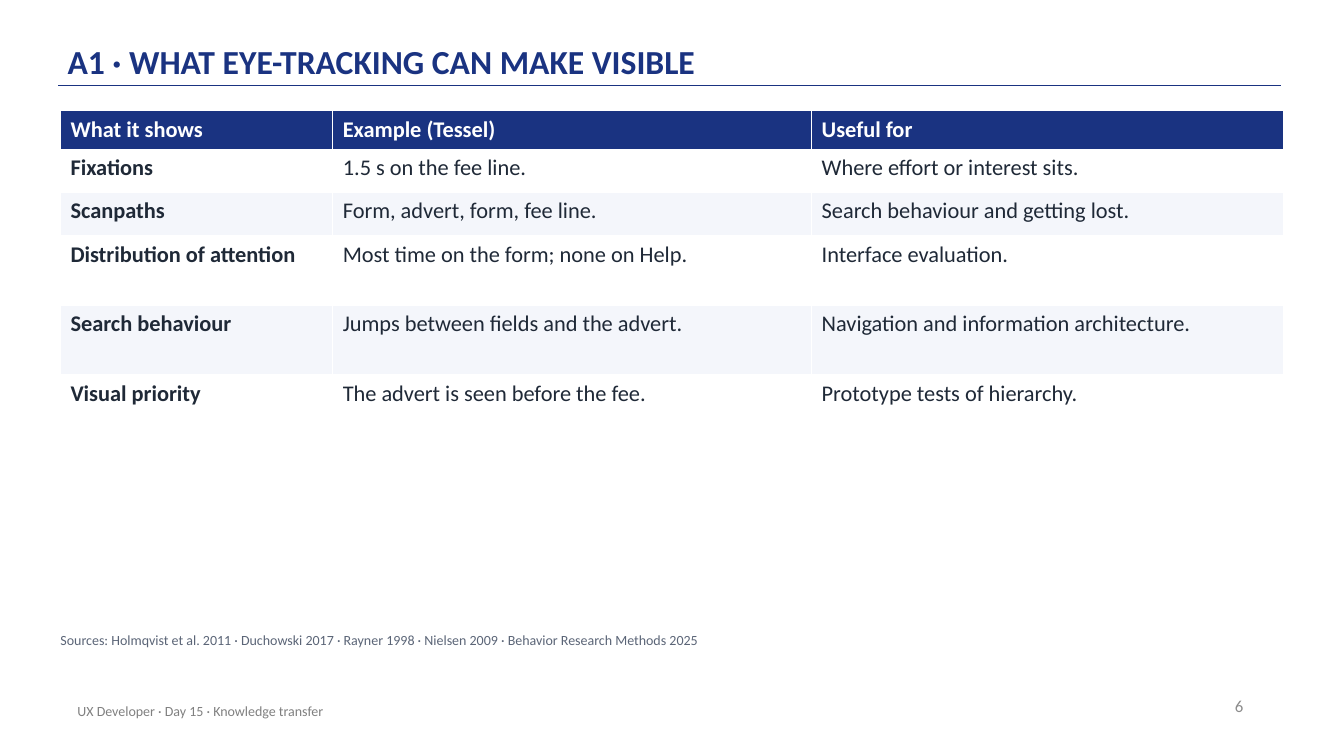
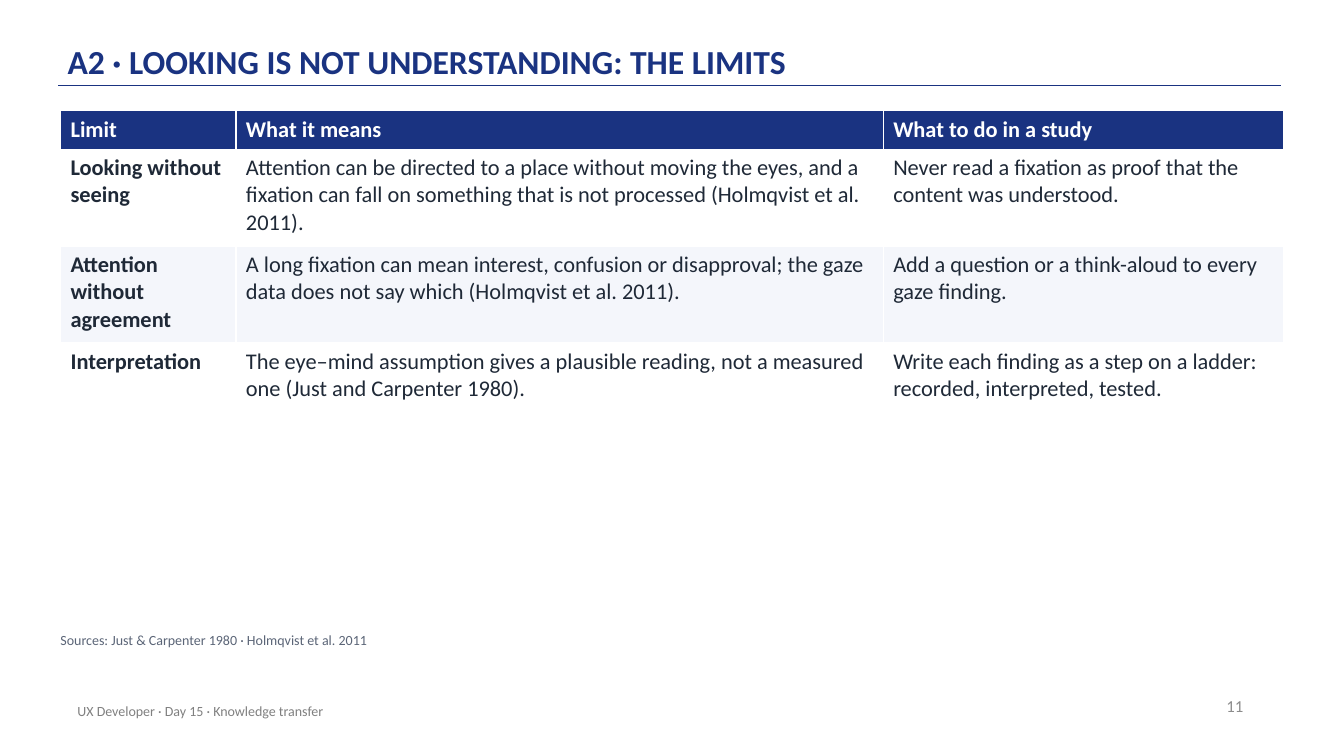
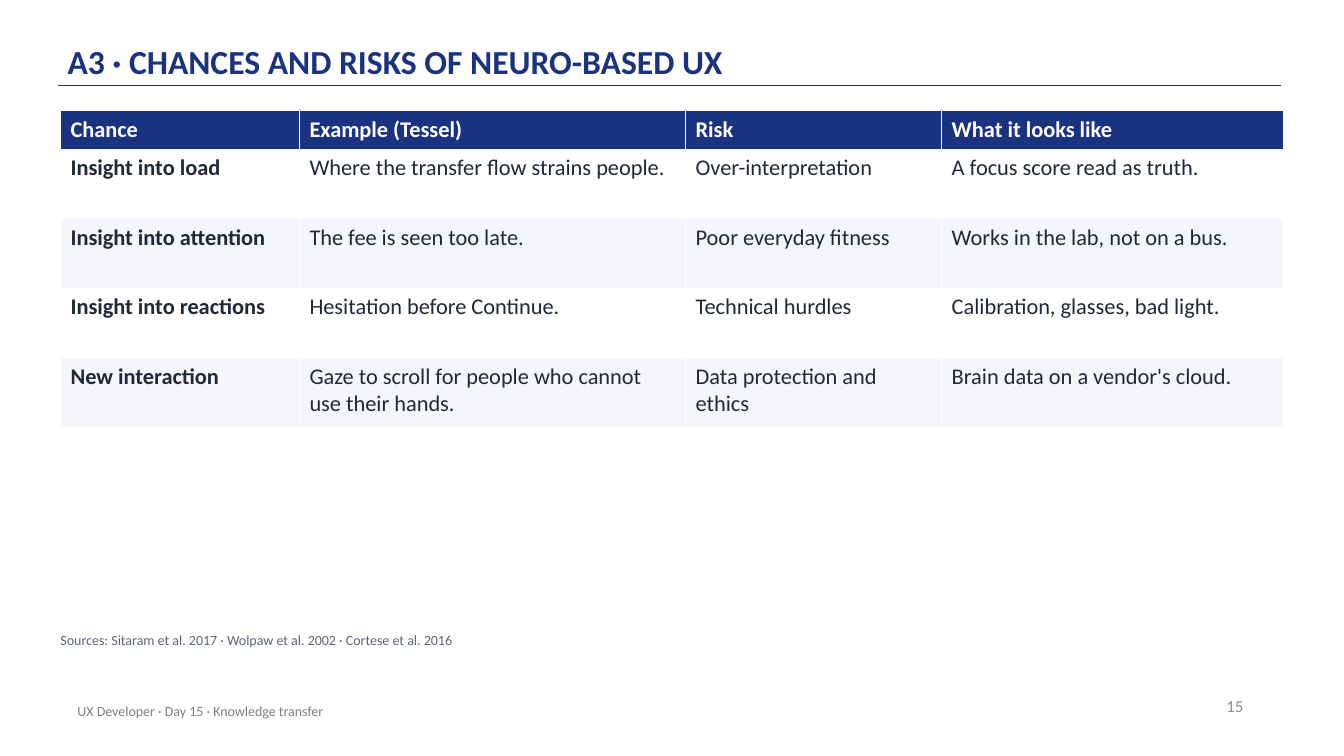
from lxml import etree
from pptx import Presentation
from pptx.dml.color import RGBColor
from pptx.enum.shapes import MSO_CONNECTOR
from pptx.enum.text import MSO_ANCHOR, MSO_AUTO_SIZE, PP_ALIGN
from pptx.oxml.ns import qn
from pptx.util import Inches, Pt

STRAIGHT = MSO_CONNECTOR.STRAIGHT
TOP, MIDDLE, BOTTOM = MSO_ANCHOR.TOP, MSO_ANCHOR.MIDDLE, MSO_ANCHOR.BOTTOM
LEFT, RIGHT = PP_ALIGN.LEFT, PP_ALIGN.RIGHT
FIT_SHAPE, FIXED = MSO_AUTO_SIZE.SHAPE_TO_FIT_TEXT, MSO_AUTO_SIZE.NONE

FONT = "Calibri"
COLORS = {
    "navy": "1A3381",
    "white": "FFFFFF",
    "band": "F4F6FB",
    "body": "1F2937",
    "source": "5B6577",
    "number": "8C8C8C",
    "footer": "808080",
}
FOOTER = "UX Developer · Day 15 · Knowledge transfer"
HEADER_HEIGHT = 0.38

# Insets are left, top, right, bottom in inches.
TEXT_STYLES = {
    "title": {
        "box": (0.67, 0.12, 11, 0.72), "insets": (0, 0.03, 0, 0.03),
        "frame": {"vertical_anchor": BOTTOM, "auto_size": FIXED},
        "paragraph": {"alignment": LEFT, "line_spacing": 0.9},
        "font": {"size": Pt(24), "bold": True}, "color": "navy",
    },
    "number": {
        "box": (9.43, 6.8, 3, 0.4), "insets": (0.1, 0.05, 0.1, 0.05),
        "frame": {"vertical_anchor": MIDDLE, "auto_size": FIXED},
        "paragraph": {"alignment": RIGHT},
        "font": {"size": Pt(12)}, "color": "number",
    },
    "footer": {
        "box": (0.67, 6.85, 6.7, 0.4), "insets": (0.1, 0.05, 0.1, 0.05),
        "frame": {"vertical_anchor": MIDDLE, "auto_size": FIXED},
        "paragraph": {"alignment": LEFT},
        "font": {"size": Pt(10)}, "color": "footer",
    },
    "sources": {
        "box": (0.6, 6.27, 12.1, 0.3), "insets": (0, 0, 0, 0),
        "frame": {"vertical_anchor": TOP, "auto_size": FIT_SHAPE},
        "paragraph": {"alignment": LEFT, "space_after": Pt(6)},
        "font": {"size": Pt(10)}, "color": "source",
    },
}

SLIDES = [
    {
        "title": "A1 · WHAT EYE-TRACKING CAN MAKE VISIBLE",
        "number": "6",
        "sources": "Sources: Holmqvist et al. 2011 · Duchowski 2017 · Rayner 1998 · "
                   "Nielsen 2009 · Behavior Research Methods 2025",
        "column_widths": [2.7, 4.75, 4.68],
        "body_heights": [0.43, 0.43, 0.69, 0.69, 0.43],
        "rows": [
            ["What it shows", "Example (Tessel)", "Useful for"],
            ["Fixations", "1.5 s on the fee line.", "Where effort or interest sits."],
            ["Scanpaths", "Form, advert, form, fee line.",
             "Search behaviour and getting lost."],
            ["Distribution of attention", "Most time on the form; none on Help.",
             "Interface evaluation."],
            ["Search behaviour", "Jumps between fields and the advert.",
             "Navigation and information architecture."],
            ["Visual priority", "The advert is seen before the fee.",
             "Prototype tests of hierarchy."],
        ],
    },
    {
        "title": "A2 · LOOKING IS NOT UNDERSTANDING: THE LIMITS",
        "number": "11",
        "sources": "Sources: Just & Carpenter 1980 · Holmqvist et al. 2011",
        "column_widths": [1.74, 6.42, 3.97],
        "body_heights": [0.96] * 3,
        "rows": [
            ["Limit", "What it means", "What to do in a study"],
            ["Looking without seeing",
             "Attention can be directed to a place without moving the eyes, and a fixation "
             "can fall on something that is not processed (Holmqvist et al. 2011).",
             "Never read a fixation as proof that the content was understood."],
            ["Attention without agreement",
             "A long fixation can mean interest, confusion or disapproval; the gaze data "
             "does not say which (Holmqvist et al. 2011).",
             "Add a question or a think-aloud to every gaze finding."],
            ["Interpretation",
             "The eye–mind assumption gives a plausible reading, not a measured one "
             "(Just and Carpenter 1980).",
             "Write each finding as a step on a ladder: recorded, interpreted, tested."],
        ],
    },
    {
        "title": "A3 · CHANCES AND RISKS OF NEURO-BASED UX",
        "number": "15",
        "sources": "Sources: Sitaram et al. 2017 · Wolpaw et al. 2002 · Cortese et al. 2016",
        "column_widths": [2.37, 3.83, 2.54, 3.39],
        "body_heights": [0.69] * 4,
        "rows": [
            ["Chance", "Example (Tessel)", "Risk", "What it looks like"],
            ["Insight into load", "Where the transfer flow strains people.",
             "Over-interpretation", "A focus score read as truth."],
            ["Insight into attention", "The fee is seen too late.",
             "Poor everyday fitness", "Works in the lab, not on a bus."],
            ["Insight into reactions", "Hesitation before Continue.",
             "Technical hurdles", "Calibration, glasses, bad light."],
            ["New interaction", "Gaze to scroll for people who cannot use their hands.",
             "Data protection and ethics", "Brain data on a vendor's cloud."],
        ],
    },
]


def write_paragraph(frame, text, font_format, color, paragraph_format):
    paragraph = frame.paragraphs[0]
    for name, value in paragraph_format.items():
        setattr(paragraph, name, value)
    run = paragraph.add_run()
    run.text = text
    for name, value in {"name": FONT, **font_format}.items():
        setattr(run.font, name, value)
    run.font.color.rgb = RGBColor.from_string(COLORS[color])


def add_text(slide, text, style_name):
    style = TEXT_STYLES[style_name]
    frame = slide.shapes.add_textbox(*map(Inches, style["box"])).text_frame
    frame.word_wrap = True
    for side, inset in zip(("left", "top", "right", "bottom"), style["insets"]):
        setattr(frame, f"margin_{side}", Inches(inset))
    for name, value in style["frame"].items():
        setattr(frame, name, value)
    write_paragraph(frame, text, style["font"], style["color"], style["paragraph"])


presentation = Presentation()
presentation.slide_width = Inches(13.33)
presentation.slide_height = Inches(7.5)
blank_layout = presentation.slide_layouts[6]

for content in SLIDES:
    slide = presentation.slides.add_slide(blank_layout)

    title_rule = slide.shapes.add_connector(
        STRAIGHT, Inches(0.58), Inches(0.85), Inches(12.71), Inches(0.85))
    title_rule.line.color.rgb = RGBColor.from_string(COLORS["navy"])
    title_rule.line.width = Pt(1)
    etree.SubElement(title_rule._element.spPr, qn("a:effectLst"))

    add_text(slide, content["title"], "title")
    add_text(slide, content["number"], "number")
    add_text(slide, FOOTER, "footer")

    rows, widths = content["rows"], content["column_widths"]
    heights = [HEADER_HEIGHT, *content["body_heights"]]
    table = slide.shapes.add_table(
        len(rows), len(widths), Inches(0.6), Inches(1.1),
        Inches(sum(widths)), Inches(sum(heights))).table
    table.horz_banding = False
    for column, width in zip(table.columns, widths):
        column.width = Inches(width)
    for row_index, (row, height) in enumerate(zip(rows, heights)):
        table.rows[row_index].height = Inches(height)
        is_header = row_index == 0
        fill_color = "navy" if is_header else "white" if row_index % 2 else "band"
        text_color = "white" if is_header else "body"
        for column_index, text in enumerate(row):
            cell = table.cell(row_index, column_index)
            cell.fill.solid()
            cell.fill.fore_color.rgb = RGBColor.from_string(COLORS[fill_color])
            font_format = {"size": Pt(16), "bold": is_header or column_index == 0}
            write_paragraph(cell.text_frame, text, font_format, text_color,
                            {"alignment": LEFT})

    add_text(slide, content["sources"], "sources")

presentation.save("out.pptx")
